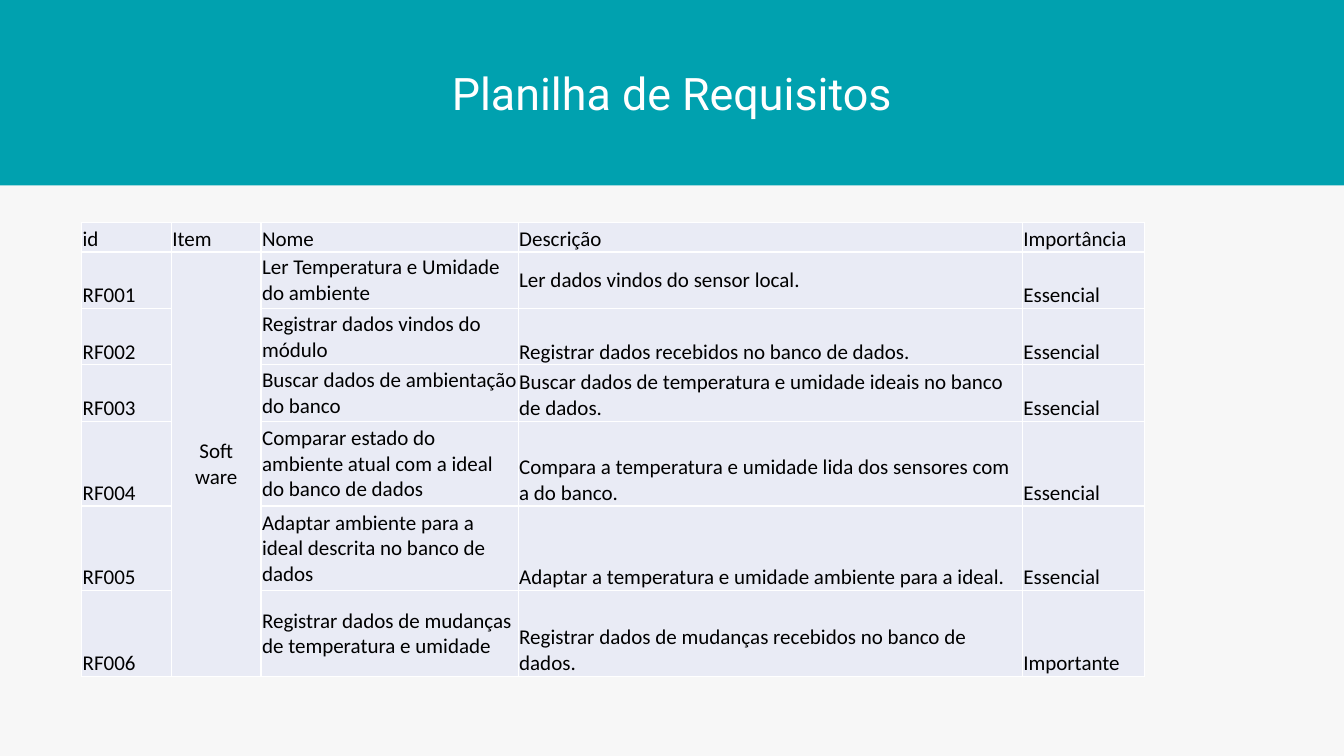
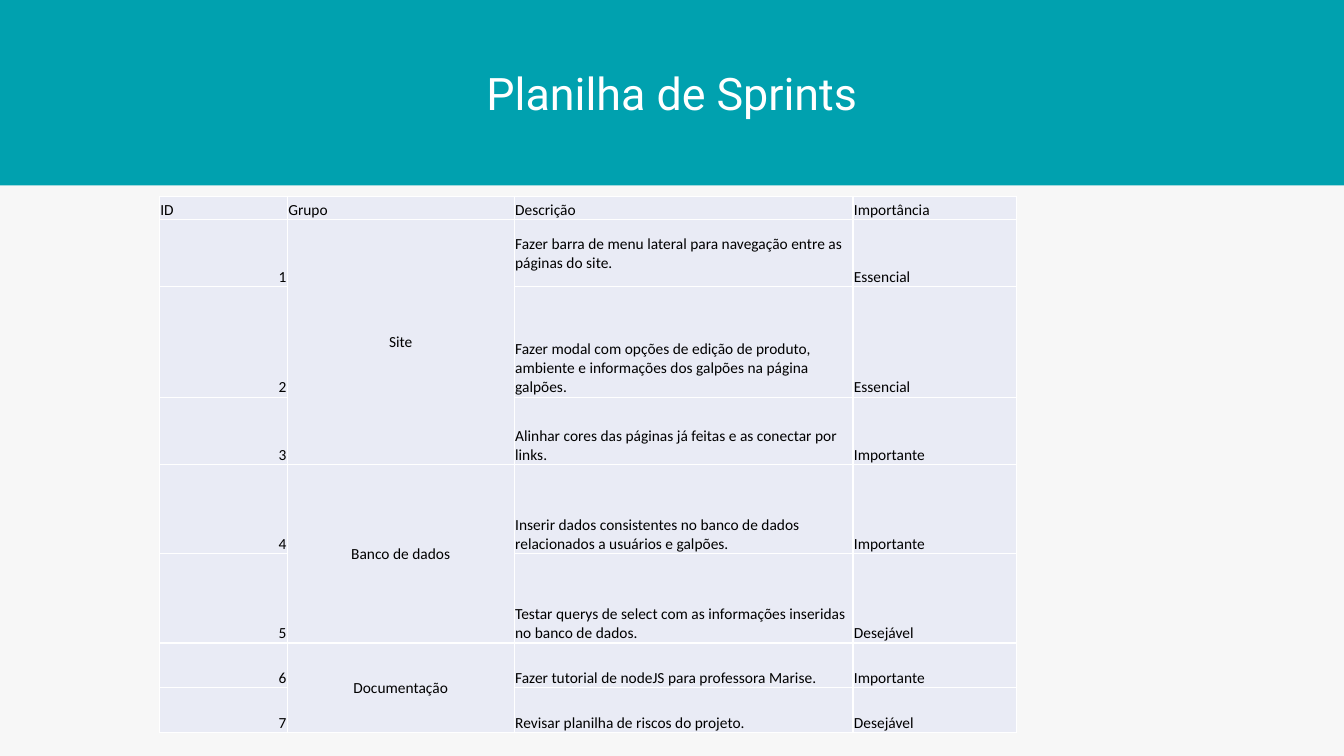
from lxml import etree
from pptx import Presentation
from pptx.dml.color import RGBColor
from pptx.enum import shapes, text
from pptx.oxml import ns
from pptx.util import Inches, Pt

COLORS = {
    "background": "F7F7F7",
    "band": "00A1AF",
    "title": "FFFFFF",
    "cell": "E9EBF5",
    "border": "FFFFFF",
    "body": "000000",
}
TITLE_FONT, BODY_FONT = "Roboto", "Calibri"
SLIDE_WIDTH, SLIDE_HEIGHT, BAND_HEIGHT = 13.33, 7.5, 1.84
CELL_MARGINS = (0.01, 0.01, 0.01, 0)  # left, top, right, bottom

# None marks a cell covered by the group above it
REQUIREMENTS = [
    ("id", "Item", "Nome", "Descrição", "Importância"),
    ("RF001", "Software", "Ler Temperatura e Umidade do ambiente",
     "Ler dados vindos do sensor local.", "Essencial"),
    ("RF002", None, "Registrar dados vindos do módulo",
     "Registrar dados recebidos no banco de dados.", "Essencial"),
    ("RF003", None, "Buscar dados de ambientação do banco",
     "Buscar dados de temperatura e umidade ideais no banco de dados.", "Essencial"),
    ("RF004", None, "Comparar estado do ambiente atual com a ideal do banco de dados",
     "Compara a temperatura e umidade lida dos sensores com a do banco.", "Essencial"),
    ("RF005", None, "Adaptar ambiente para a ideal descrita no banco de dados",
     "Adaptar a temperatura e umidade ambiente para a ideal.", "Essencial"),
    ("RF006", None, "Registrar dados de mudanças de temperatura e umidade",
     "Registrar dados de mudanças recebidos no banco de dados.", "Importante"),
]
SPRINTS = [
    ("ID", "Grupo", "Descrição", "Importância"),
    ("1", "Site", "Fazer barra de menu lateral para navegação entre as páginas do site.",
     "Essencial"),
    ("2", None, "Fazer modal com opções de edição de produto, ambiente e informações "
     "dos galpões na página galpões.", "Essencial"),
    ("3", None, "Alinhar cores das páginas já feitas e as conectar por links.",
     "Importante"),
    ("4", "Banco de dados", "Inserir dados consistentes no banco de dados relacionados "
     "a usuários e galpões.", "Importante"),
    ("5", None, "Testar querys de select com as informações inseridas no banco de dados.",
     "Desejável"),
    ("6", "Documentação", "Fazer tutorial de nodeJS para professora Marise.",
     "Importante"),
    ("7", None, "Revisar planilha de riscos do projeto.", "Desejável"),
]


def rgb(name):
    return RGBColor.from_string(COLORS[name])


def paint(fill, name):
    fill.solid()
    fill.fore_color.rgb = rgb(name)


def write(frame, words, font, size, color, align):
    frame.text = words
    paragraph = frame.paragraphs[0]
    paragraph.alignment = align
    for run in paragraph.runs:
        run.font.name = font
        run.font.size = Pt(size)
        run.font.color.rgb = rgb(color)


def add_titled_slide(deck, title):
    """Slide with the shared background and title band."""
    slide = deck.slides.add_slide(deck.slide_layouts[6])
    paint(slide.background.fill, "background")
    band = slide.shapes.add_shape(shapes.MSO_SHAPE.RECTANGLE, 0, 0,
                                  Inches(SLIDE_WIDTH), Inches(BAND_HEIGHT))
    band.shadow.inherit = False
    paint(band.fill, "band")
    band.line.fill.background()
    band.text_frame.vertical_anchor = text.MSO_ANCHOR.MIDDLE
    write(band.text_frame, title, TITLE_FONT, 32, "title", text.PP_ALIGN.CENTER)
    return slide


def add_borders(cell):
    properties = cell._tc.get_or_add_tcPr()
    for side in ("lnL", "lnR", "lnT", "lnB"):
        line = etree.SubElement(properties, ns.qn(f"a:{side}"), w=str(Pt(1)))
        solid = etree.SubElement(line, ns.qn("a:solidFill"))
        etree.SubElement(solid, ns.qn("a:srgbClr"), val=COLORS["border"])


def style_cell(cell, margins, anchor):
    add_borders(cell)
    paint(cell.fill, "cell")
    (cell.margin_left, cell.margin_top,
     cell.margin_right, cell.margin_bottom) = map(Inches, margins)
    cell.vertical_anchor = anchor


def group_end(rows, start, column):
    """Last row of the group that starts at the given row."""
    end = start
    while end + 1 < len(rows) and rows[end + 1][column] is None:
        end += 1
    return end


def add_sheet(slide, rows, left, top, widths, heights, size,
              group_margins, middle_cells, number_ids=False):
    """Table whose second column holds merged, centred groups."""
    table = slide.shapes.add_table(
        len(rows), len(widths), Inches(left), Inches(top),
        Inches(sum(widths)), Inches(sum(heights))).table
    table.first_row = table.horz_banding = False
    for column, width in zip(table.columns, widths):
        column.width = Inches(width)
    for row, height in zip(table.rows, heights):
        row.height = Inches(height)

    for r, values in enumerate(rows):
        for c, words in enumerate(values):
            cell = table.cell(r, c)
            is_group = r > 0 and c == 1 and words is not None
            middle = is_group or (r, c) in middle_cells
            style_cell(cell, group_margins if is_group else CELL_MARGINS,
                       text.MSO_ANCHOR.MIDDLE if middle else text.MSO_ANCHOR.BOTTOM)
            if words is None:
                continue
            align = text.PP_ALIGN.LEFT
            if is_group:
                align = text.PP_ALIGN.CENTER
                cell.merge(table.cell(group_end(rows, r, c), c))
            elif number_ids and r > 0 and c == 0:
                align = text.PP_ALIGN.RIGHT
            write(cell.text_frame, words, BODY_FONT, size, "body", align)


def main():
    deck = Presentation()
    deck.slide_width, deck.slide_height = Inches(SLIDE_WIDTH), Inches(SLIDE_HEIGHT)

    # Requirements
    add_sheet(add_titled_slide(deck, "Planilha de Requisitos"), REQUIREMENTS,
              left=0.81, top=2.21, size=15,
              widths=[0.89, 0.89, 2.55, 5, 1.21],
              heights=[0.29, 0.56, 0.56, 0.56, 0.84, 0.84, 0.85],
              group_margins=(0.21, 0.1, 0.21, 0.1),
              middle_cells={(1, 3)} | {(r, 2) for r in range(1, len(REQUIREMENTS))})

    # Sprints
    add_sheet(add_titled_slide(deck, "Planilha de Sprints"), SPRINTS,
              left=1.58, top=1.95, size=11,
              widths=[1.27, 2.25, 3.36, 1.62],
              heights=[0.23, 0.66, 1.1, 0.67, 0.88, 0.89, 0.44, 0.45],
              group_margins=(0.09, 0.05, 0.09, 0.05),
              middle_cells={(1, 2)}, number_ids=True)

    deck.save("out.pptx")


if __name__ == "__main__":
    main()
